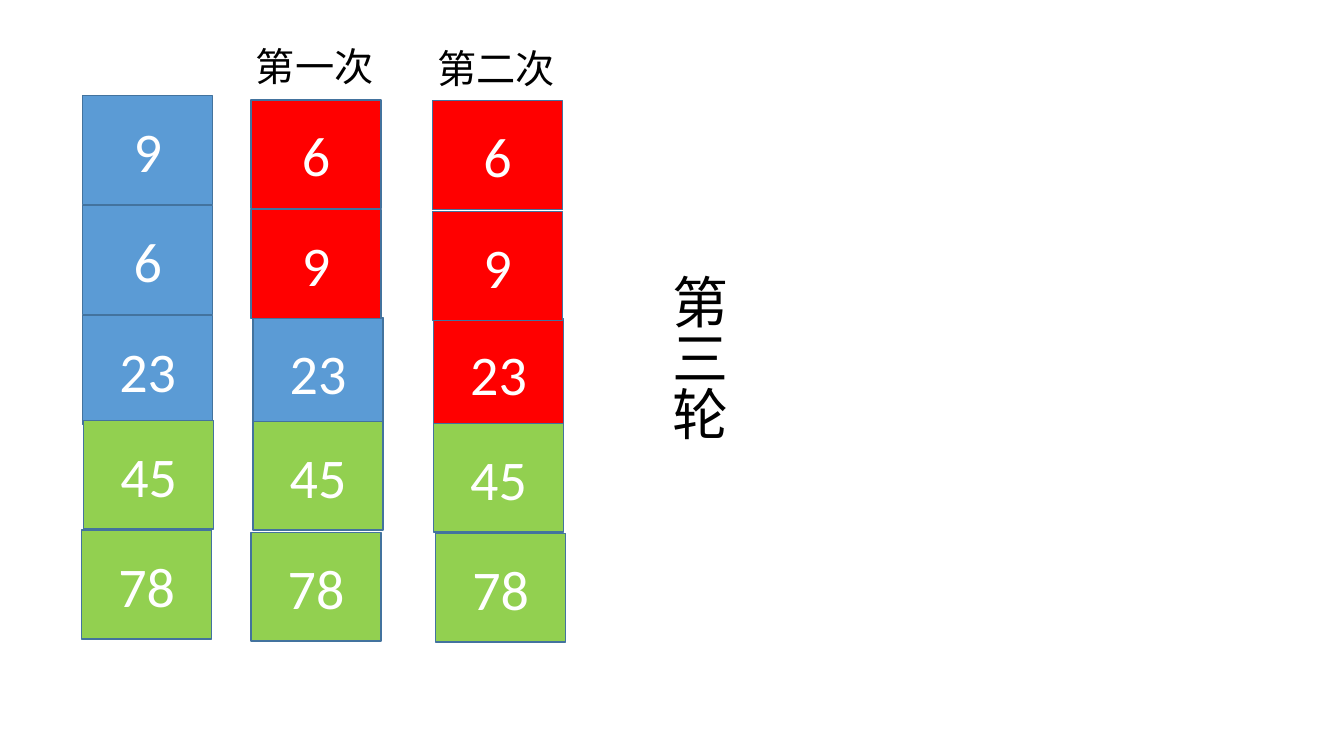
from pptx import Presentation
from pptx.dml.color import RGBColor
from pptx.enum.shapes import MSO_SHAPE
from pptx.enum.text import MSO_ANCHOR, MSO_AUTO_SIZE, PP_ALIGN
from pptx.util import Inches, Pt

RECT = MSO_SHAPE.RECTANGLE
MIDDLE = MSO_ANCHOR.MIDDLE
CENTER = PP_ALIGN.CENTER
GROW = MSO_AUTO_SIZE.SHAPE_TO_FIT_TEXT

BLUE = RGBColor(0x5B, 0x9B, 0xD5)
RED = RGBColor(0xFF, 0x00, 0x00)
GREEN = RGBColor(0x92, 0xD0, 0x50)
EDGE = RGBColor(0x43, 0x73, 0x9E)
WHITE = RGBColor(0xFF, 0xFF, 0xFF)
BLACK = RGBColor(0x00, 0x00, 0x00)

FONT = "Calibri"
CELL_W, CELL_H = 1.29, 1.08
ORDER = (2, 1, 4, 0, 3)  # back to front, so outer cells overlap the middle one

# Each column: cells as (number, fill, left, top)
START = [
    (9, BLUE, 0.82, 0.95), (6, BLUE, 0.82, 2.04), (23, BLUE, 0.82, 3.13),
    (45, GREEN, 0.83, 4.17), (78, GREEN, 0.81, 5.26),
]
FIRST = [
    (6, RED, 2.49, 0.99), (9, RED, 2.49, 2.08), (23, BLUE, 2.51, 3.15),
    (45, GREEN, 2.51, 4.18), (78, GREEN, 2.49, 5.28),
]
SECOND = [
    (6, RED, 4.29, 1.0), (9, RED, 4.29, 2.1), (23, RED, 4.3, 3.16),
    (45, GREEN, 4.3, 4.2), (78, GREEN, 4.32, 5.29),
]


def style(frame, text, size, color):
    frame.text = text
    font = frame.paragraphs[0].runs[0].font
    font.name, font.size = FONT, Pt(size)
    font.color.rgb = color


def add_cell(slide, number, fill, left, top):
    cell = slide.shapes.add_shape(
        RECT, Inches(left), Inches(top), Inches(CELL_W), Inches(CELL_H))
    cell.shadow.inherit = False
    cell.fill.solid()
    cell.fill.fore_color.rgb = fill
    cell.line.color.rgb = EDGE
    cell.line.width = Pt(1)
    frame = cell.text_frame
    style(frame, str(number), 40, WHITE)
    frame.vertical_anchor = MIDDLE
    frame.paragraphs[0].alignment = CENTER


def add_column(slide, cells):
    for row in ORDER:
        add_cell(slide, *cells[row])


def add_label(slide, text, box, size):
    label = slide.shapes.add_textbox(*map(Inches, box))
    frame = label.text_frame
    frame.word_wrap = True
    frame.auto_size = GROW
    style(frame, text, size, BLACK)
    return frame


def add_round(slide, text, box):
    """Label for the sorting round, with its characters stacked downwards."""
    frame = add_label(slide, text, box, 40)
    frame._txBody.bodyPr.set("vert", "eaVert")


def main():
    deck = Presentation()
    deck.slide_width, deck.slide_height = Inches(13.33), Inches(7.5)
    slide = deck.slides.add_slide(deck.slide_layouts[6])
    add_column(slide, START)
    add_column(slide, FIRST)
    add_label(slide, "第一次", (2.44, 0.37, 1.42, 0.57), 28)
    add_column(slide, SECOND)
    add_label(slide, "第二次", (4.24, 0.39, 1.42, 0.57), 28)
    add_round(slide, "第三轮", (6.43, 2.62, 0.88, 4.71))
    deck.save("out.pptx")


if __name__ == "__main__":
    main()
